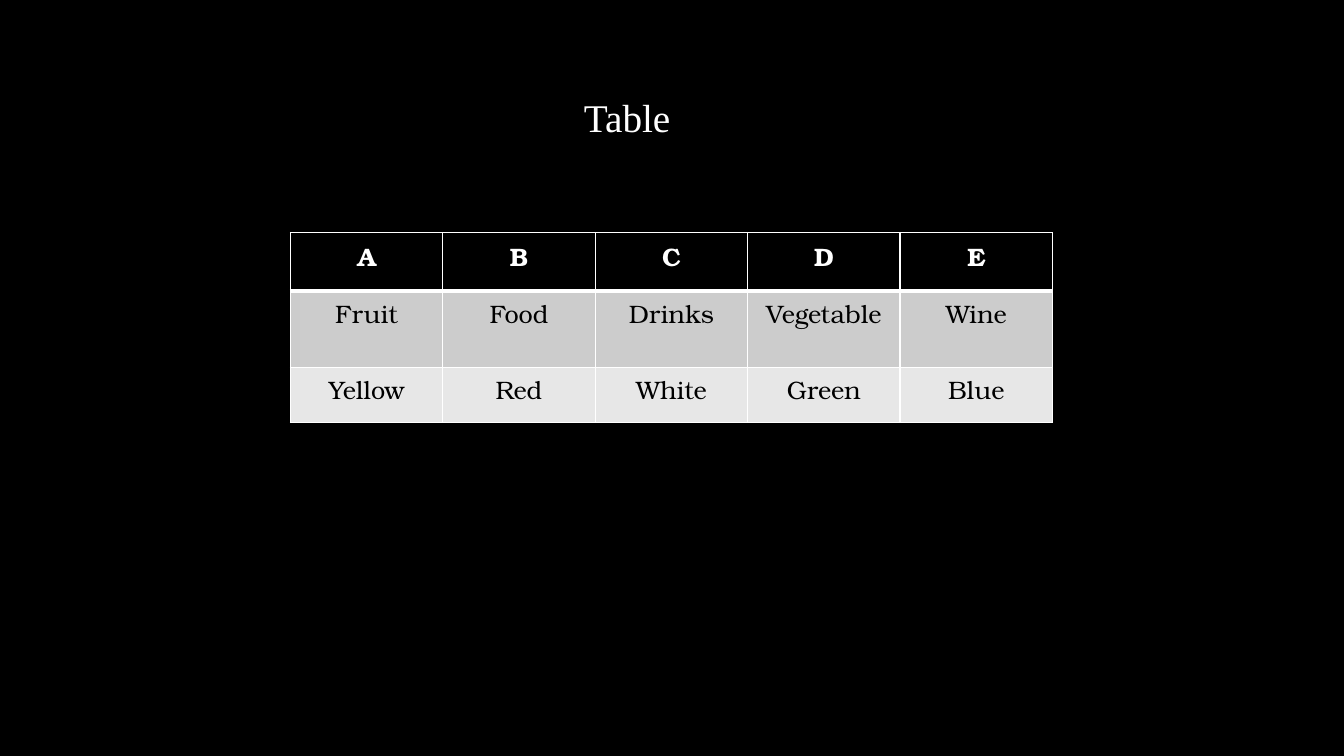
from lxml.etree import SubElement
from pptx import Presentation
from pptx.dml.color import RGBColor as Rgb
from pptx.enum.text import MSO_ANCHOR as Anchor, MSO_AUTO_SIZE as AutoSize, PP_ALIGN as Align
from pptx.oxml.ns import qn
from pptx.util import Inches, Pt

COLOURS = {
    "black": "000000",
    "white": "FFFFFF",
    "dark_band": "CCCCCC",
    "light_band": "E7E7E7",
}
TITLE_FONT = {"name": "Times New Roman", "size": Pt(28), "bold": False}
HEADER_FONT = {"name": "TeX Gyre Bonum", "size": Pt(18), "bold": True}
BODY_FONT = {**HEADER_FONT, "bold": False}

ROWS = [
    ["A", "B", "C", "D", "E"],
    ["Fruit", "Food", "Drinks", "Vegetable", "Wine"],
    ["Yellow", "Red", "White", "Green", "Blue"],
]
# One entry per row: height, fill, text colour, font, top and bottom line widths
ROW_STYLES = [
    (0.58, "black", "white", HEADER_FONT, 1, 3),
    (0.76, "dark_band", "black", BODY_FONT, 3, 1),
    (0.54, "light_band", "black", BODY_FONT, 1, 1),
]


class SlideBuilder:
    def __init__(self, deck, background):
        self.slide = deck.slides.add_slide(deck.slide_layouts[5])
        self.paint(self.slide.background.fill, background)

    def paint(self, fill, colour):
        fill.solid()
        fill.fore_color.rgb = Rgb.from_string(COLOURS[colour])

    def add_text(self, frame, text, font, colour):
        para = frame.paragraphs[0]
        para.alignment = Align.CENTER
        span = para.add_run()
        span.text = text
        for key, value in font.items():
            setattr(span.font, key, value)
        span.font.color.rgb = Rgb.from_string(COLOURS[colour])

    def title(self, text, left, top, width, height):
        box = self.slide.shapes.title
        place = {"left": left, "top": top, "width": width, "height": height}
        for key, value in place.items():
            setattr(box, key, Inches(value))
        frame = box.text_frame
        layout = {
            "word_wrap": True,
            "vertical_anchor": Anchor.TOP,
            "auto_size": AutoSize.SHAPE_TO_FIT_TEXT,
        }
        for key, value in layout.items():
            setattr(frame, key, value)
        self.add_text(frame, text, TITLE_FONT, "white")

    def border(self, cell, widths):
        """Draw white cell edges; widths maps each side (L, R, T, B) to points."""
        properties = cell._tc.get_or_add_tcPr()
        for side, points in widths.items():
            line = SubElement(properties, qn(f"a:ln{side}"), w=str(Pt(points)))
            fill = SubElement(line, qn("a:solidFill"))
            SubElement(fill, qn("a:srgbClr"), val=COLOURS["white"])

    def table(self, rows, styles, left, top, width):
        height = sum(style[0] for style in styles)
        table = self.slide.shapes.add_table(
            len(rows), len(rows[0]),
            Inches(left), Inches(top), Inches(width), Inches(height),
        ).table
        for row, texts, style in zip(table.rows, rows, styles):
            row_height, fill, colour, font, above, below = style
            row.height = Inches(row_height)
            for cell, text in zip(row.cells, texts):
                self.border(cell, {"L": 1, "R": 1, "T": above, "B": below})
                self.paint(cell.fill, fill)
                self.add_text(cell.text_frame, text, font, colour)


def main():
    deck = Presentation()
    deck.slide_width, deck.slide_height = Inches(13.33), Inches(7.5)
    builder = SlideBuilder(deck, "black")
    builder.title("Table", 2.4, 0.88, 7.64, 0.57)
    builder.table(ROWS, ROW_STYLES, 2.88, 2.31, 7.56)
    deck.save("out.pptx")


if __name__ == "__main__":
    main()
